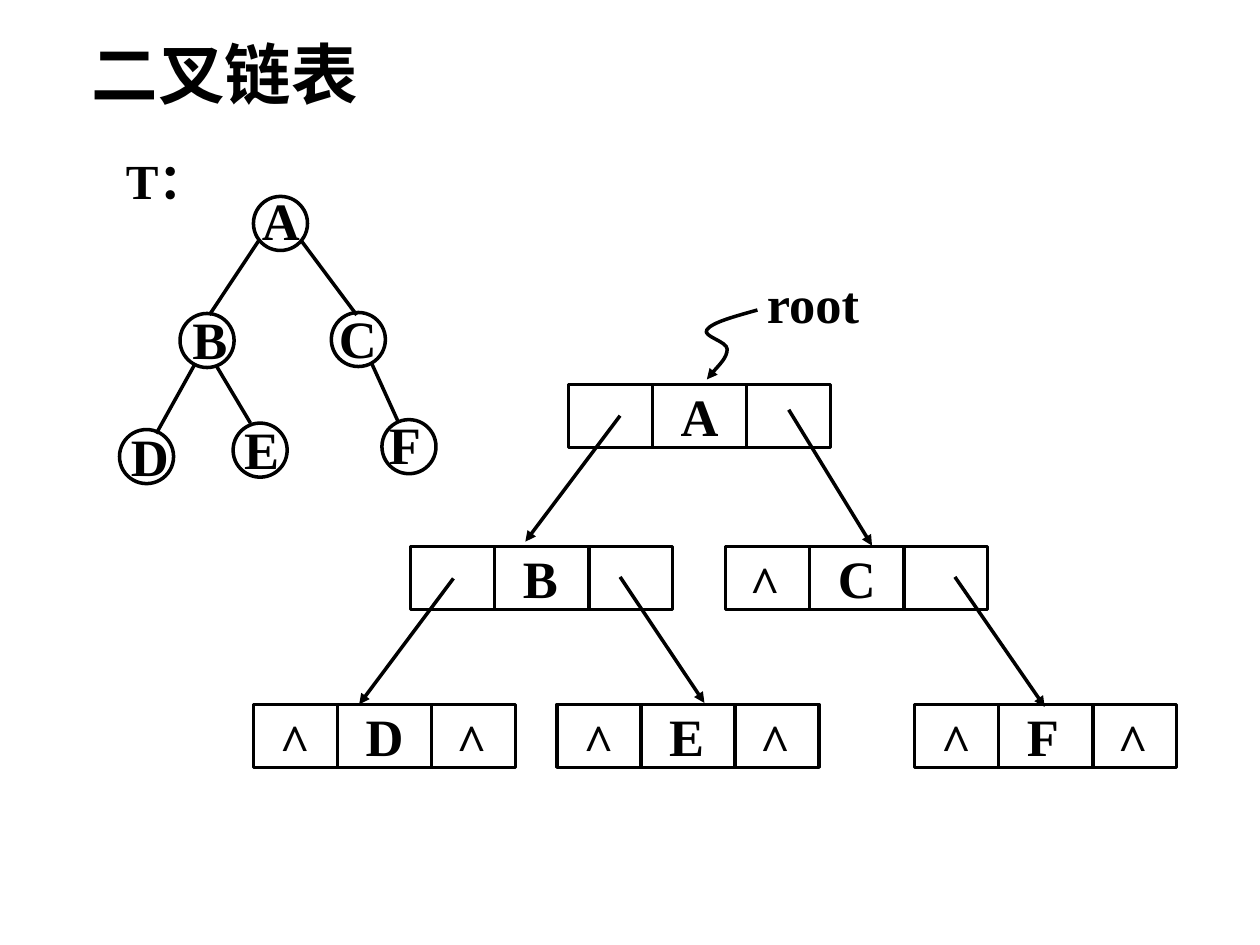
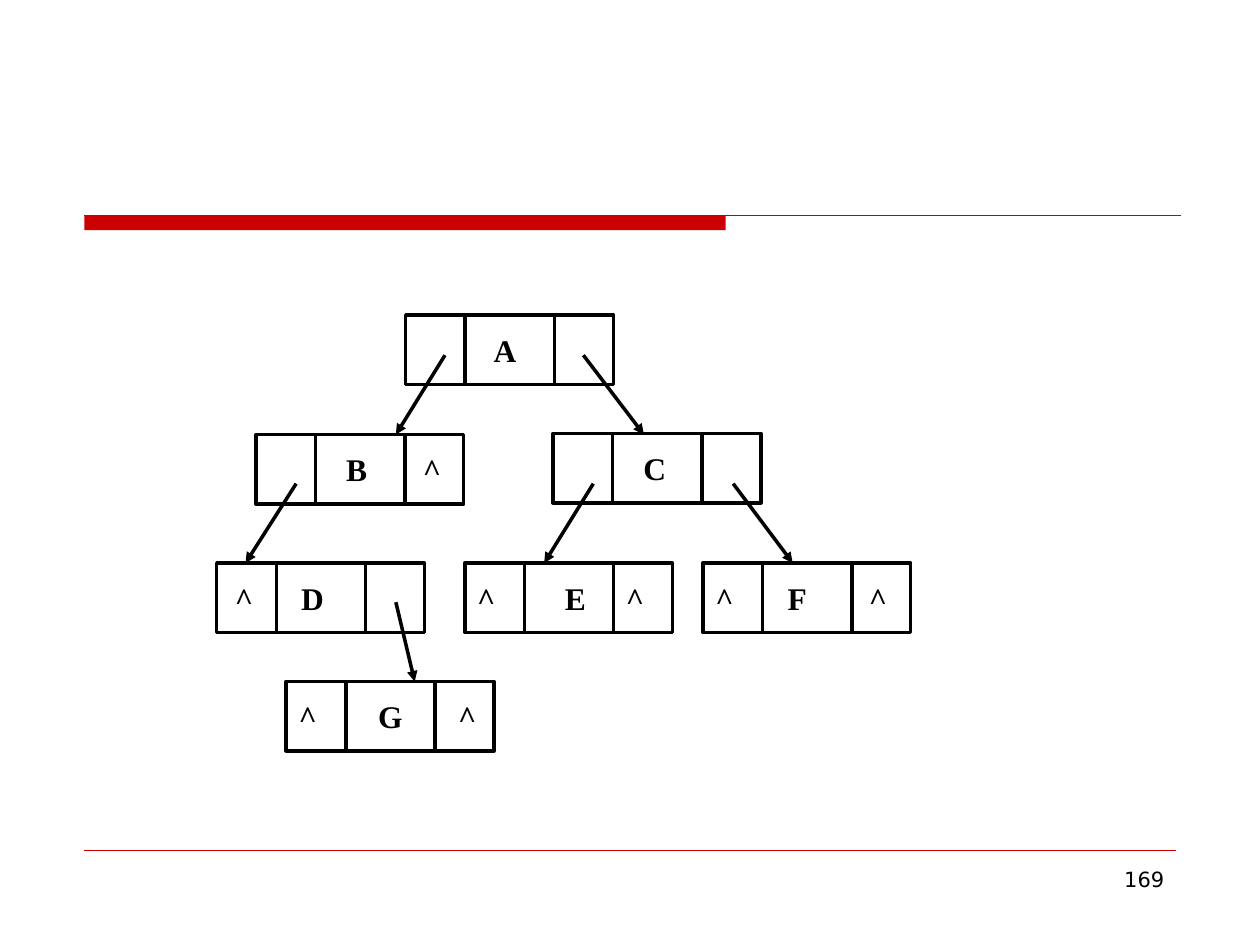
"""Build two slides that show binary trees stored as linked records."""
from dataclasses import dataclass

from lxml.etree import SubElement
from pptx import Presentation
from pptx.dml.color import RGBColor
from pptx.enum.shapes import MSO_CONNECTOR, MSO_SHAPE
from pptx.enum.text import MSO_ANCHOR, PP_ALIGN
from pptx.oxml.ns import qn
from pptx.util import Cm, Pt


@dataclass(frozen=True)
class Theme:
    ink: RGBColor = RGBColor(0x00, 0x00, 0x00)
    accent: RGBColor = RGBColor(0xCC, 0x00, 0x00)
    paper: RGBColor = RGBColor(0xFF, 0xFF, 0xFF)
    sans: str = "DejaVu Sans"
    serif: str = "Times New Roman"
    title_size: int = 38
    node_size: int = 30
    caption_size: int = 28
    record_size: int = 18
    number_size: int = 12
    stroke: float = 2
    rule: float = 0.75
    hairline: float = 0.25


theme = Theme()


def add_box(slide, kind, box, text="", size=theme.node_size, font=theme.serif, bold=True,
            align=PP_ALIGN.LEFT, anchor=MSO_ANCHOR.TOP, tabs=(), fill=None, line=theme.ink):
    lengths = [Cm(value) for value in box]
    if kind is None:
        shape = slide.shapes.add_textbox(*lengths)
    else:
        shape = slide.shapes.add_shape(kind, *lengths)
        shape.shadow.inherit = False
        if fill is None:
            shape.fill.background()
        else:
            shape.fill.solid()
            shape.fill.fore_color.rgb = fill
        if line is None:
            shape.line.fill.background()
        else:
            shape.line.color.rgb = line
            shape.line.width = Pt(theme.stroke)
    if text:
        frame = shape.text_frame
        frame.word_wrap = True
        frame.vertical_anchor = anchor
        paragraph = frame.paragraphs[0]
        paragraph.text = text
        paragraph.alignment = align
        if tabs:
            tab_list = SubElement(paragraph._p.get_or_add_pPr(), qn("a:tabLst"))
            for position in tabs:
                SubElement(tab_list, qn("a:tab"), pos=str(Cm(position)), algn="ctr")
        paragraph.font.name = font
        paragraph.font.size = Pt(size)
        paragraph.font.bold = bold
        paragraph.font.color.rgb = theme.ink
    return shape


def add_line(slide, start, end, color=theme.ink, width=theme.stroke, arrow=False):
    connector = slide.shapes.add_connector(
        MSO_CONNECTOR.STRAIGHT, *[Cm(value) for value in (*start, *end)])
    connector.line.color.rgb = color
    connector.line.width = Pt(width)
    properties = connector.element.spPr
    SubElement(properties, qn("a:effectLst"))
    if arrow:
        SubElement(properties.find(qn("a:ln")), qn("a:tailEnd"), type="triangle")


presentation = Presentation()
presentation.slide_width = Cm(25.4)
presentation.slide_height = Cm(19.05)
blank_layout = presentation.slide_layouts[6]

slide = presentation.slides.add_slide(blank_layout)
add_box(slide, None, (1.6, 0.28, 22.23, 2.11), "二叉链表", theme.title_size, theme.sans,
        anchor=MSO_ANCHOR.BOTTOM)
add_box(slide, None, (2.29, 2.9, 2.74, 1.47), "T：", theme.caption_size)

tree_nodes = [
    ("A", (5.11, 3.96), (5.03, 3.66)),
    ("B", (3.63, 6.32), (3.63, 6.07)),
    ("C", (6.68, 6.3), (6.58, 6.05)),
    ("D", (2.41, 8.66), (2.39, 8.43)),
    ("E", (4.7, 8.53), (4.67, 8.28)),
    ("F", (7.7, 8.46), (7.59, 8.18)),
]
tree_edges = [
    ((5.23, 4.83), (4.22, 6.35)),
    ((6.07, 4.85), (7.19, 6.35)),
    ((3.94, 7.32), (3.15, 8.74)),
    ((4.37, 7.39), (5.05, 8.53)),
    ((7.49, 7.32), (8.03, 8.51)),
]
for start, end in tree_edges:
    add_line(slide, start, end)
for label, circle_corner, label_corner in tree_nodes:
    add_box(slide, MSO_SHAPE.OVAL, (*circle_corner, 1.09, 1.09))
    add_box(slide, None, (*label_corner, 1.7, 1.52), label)

record_width, record_height = 5.28, 1.27
both_empty = (0.28, 3.84)
linked_records = [
    ("A", 11.46, 7.75, ()),
    ("B", 8.28, 11.02, ()),
    ("C", 14.63, 11.02, (0.23,)),
    ("D", 5.11, 14.2, both_empty),
    ("E", 11.23, 14.2, both_empty),
    ("F", 18.44, 14.2, both_empty),
]
for label, left, top, empty_links in linked_records:
    add_box(slide, MSO_SHAPE.RECTANGLE, (left, top, record_width, record_height))
    for divider in (1.69, 3.59):
        add_line(slide, (left + divider, top), (left + divider, top + record_height))
    add_box(slide, None, (left + 2.01, top - 0.14, 1.47, 1.52), label)
    for offset in empty_links:
        add_box(slide, None, (left + offset, top - 0.03, 1.4, 1.52), "^")

record_links = [
    ((12.5, 8.38), (10.59, 10.92)),
    ((15.9, 8.26), (17.58, 11)),
    ((9.14, 11.66), (7.24, 14.2)),
    ((12.5, 11.63), (14.2, 14.17)),
    ((19.25, 11.63), (21.06, 14.25)),
]
for start, end in record_links:
    add_line(slide, start, end, arrow=True)

root_curve = [
    (15.27, 6.25),
    (14.81, 6.38), (14.35, 6.5), (14.25, 6.65),
    (14.15, 6.78), (14.66, 6.88), (14.66, 7.04),
    (14.66, 7.21), (14.33, 7.54), (14.25, 7.65),
]
curve_points = [(Cm(x), Cm(y)) for x, y in root_curve]
builder = slide.shapes.build_freeform(*curve_points[0])
builder.add_line_segments(curve_points[1:], close=False)
root_pointer = builder.convert_to_shape()
root_pointer.shadow.inherit = False
root_pointer.fill.background()
root_pointer.line.color.rgb = theme.ink
root_pointer.line.width = Pt(theme.stroke)
segments = list(root_pointer.element.iter(qn("a:lnTo")))
outline = segments[0].getparent()
for first in range(0, len(segments), 3):
    bezier = SubElement(outline, qn("a:cubicBezTo"))
    for segment in segments[first:first + 3]:
        bezier.append(segment[0])
        outline.remove(segment)
SubElement(root_pointer.element.spPr.find(qn("a:ln")), qn("a:tailEnd"), type="triangle")
add_box(slide, None, (15.21, 5.33, 2.79, 1.52), "root")

slide = presentation.slides.add_slide(blank_layout)
add_box(slide, MSO_SHAPE.RECTANGLE, (1.7, 4.34, 12.93, 0.3), fill=theme.accent, line=None)
add_line(slide, (1.7, 4.34), (23.8, 4.34), theme.accent, theme.rule)
add_line(slide, (1.7, 17.15), (23.7, 17.15), theme.accent, theme.hairline)
add_box(slide, None, (18.21, 17.35, 5.51, 1.32), "169", theme.number_size, theme.sans,
        bold=False, align=PP_ALIGN.RIGHT)

record_width, record_height = 4.19, 1.4
linked_records = [
    (8.18, 6.35, "A", (1.75,)),
    (5.16, 8.76, "B^", (1.78, 3.3)),
    (11.15, 8.74, "C", (1.8,)),
    (4.37, 11.35, "^D", (0.3, 1.68)),
    (9.37, 11.35, "^E^", (0.18, 1.98, 3.18)),
    (14.17, 11.35, "^F^", (0.18, 1.65, 3.28)),
    (5.77, 13.74, "^G^", (0.18, 1.85, 3.4)),
]
for left, top, marks, mark_centres in linked_records:
    add_box(slide, MSO_SHAPE.RECTANGLE, (left, top, record_width, record_height),
            "".join("\t" + mark for mark in marks), theme.record_size,
            anchor=MSO_ANCHOR.MIDDLE, tabs=mark_centres, fill=theme.paper)
    for divider in (1.2, 3):
        add_line(slide, (left + divider, top), (left + divider, top + record_height))

record_links = [
    ((8.97, 7.16), (7.98, 8.76)),
    ((11.76, 7.16), (12.98, 8.76)),
    ((5.97, 9.75), (4.95, 11.35)),
    ((11.96, 9.75), (10.97, 11.35)),
    ((14.78, 9.75), (15.98, 11.35)),
    ((7.98, 12.14), (8.36, 13.74)),
]
for start, end in record_links:
    add_line(slide, start, end, arrow=True)

presentation.save("out.pptx")
